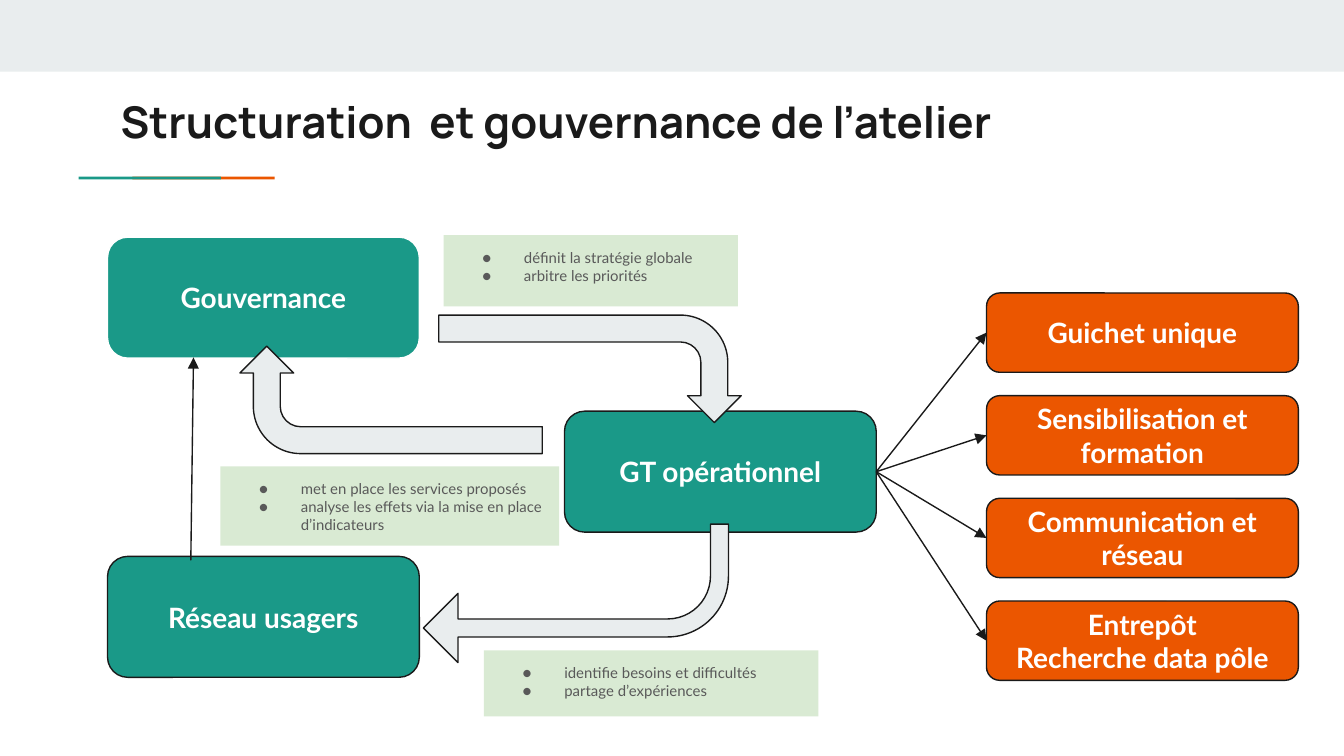
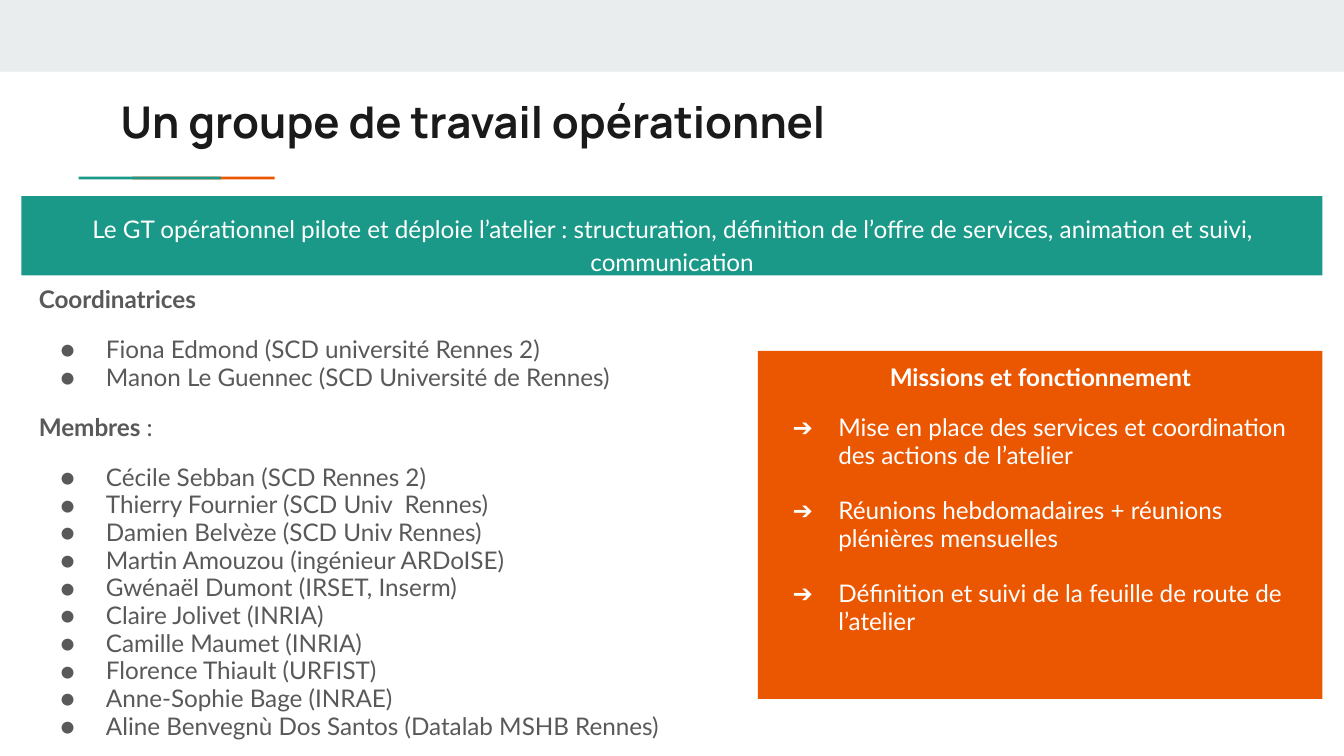
"""Build two slides on the structure and working group of a data workshop."""
from lxml.etree import SubElement
from pptx import Presentation
from pptx.dml.color import RGBColor as Rgb
from pptx.enum.shapes import MSO_CONNECTOR as Connector, MSO_SHAPE as Preset
from pptx.enum.text import MSO_ANCHOR as Anchor, PP_ALIGN as Align
from pptx.oxml.ns import qn
from pptx.util import Inches, Pt

WIDTH = Inches(10)
HEIGHT = WIDTH * 9 // 16
COLUMNS = 100
CELL = WIDTH / COLUMNS
COLORS = {
    "white": "FFFFFF",
    "ink": "1A1A1A",
    "grey": "595959",
    "mist": "E9EDEE",
    "teal": "1A9988",
    "orange": "EB5600",
    "mint": "D9EAD3",
}


def cells(*counts):
    return [round(count * CELL) for count in counts]


def color(name):
    return Rgb.from_string(COLORS[name])


def add_bullet(para, mark, ink, font, hanging):
    props = para._p.get_or_add_pPr()
    props.set("marL", str(Inches(0.5)))
    props.set("indent", str(-Inches(hanging)))
    tint = SubElement(props, qn("a:buClr"))
    SubElement(tint, qn("a:srgbClr")).set("val", COLORS[ink])
    SubElement(props, qn("a:buFont")).set("typeface", font)
    SubElement(props, qn("a:buChar")).set("char", mark)


def write(frame, text, size=13, ink="grey", font="Lato", bold=False, align=Align.LEFT,
          spacing=None, before=0, bullet=None, hanging=0.34, plain_end=""):
    para = frame.paragraphs[0]
    if para.runs:
        para = frame.add_paragraph()
    para.alignment = align
    para.space_before = Pt(before)
    if spacing:
        para.line_spacing = spacing
    if bullet:
        add_bullet(para, bullet, ink, font, hanging)
    for content, weight in ((text, bold), (plain_end, False)):
        if content:
            span = para.add_run()
            span.text = content
            span.font.name = font
            span.font.size = Pt(size)
            span.font.bold = weight
            span.font.color.rgb = color(ink)


class Board:
    """Hold the deck style and the slide being filled."""

    def __init__(self, deck):
        self.deck = deck
        self.page = None

    def start(self, title):
        self.page = self.deck.slides.add_slide(self.deck.slide_layouts[6])
        self.shape((0, 0, COLUMNS, 5.33), "mist")
        for center, fill in ((15.15, "orange"), (11.15, "teal")):
            self.shape((center - 5.3, 13.15, 10.6, 0.2), fill)
        write(self.text((8, 6.05, 84.1, 5.9)), title, size=23.4, ink="ink",
              font="Manrope", bold=True)

    def prepare(self, frame, anchor=Anchor.TOP):
        frame.word_wrap = True
        frame.vertical_anchor = anchor
        frame.margin_left = frame.margin_right = Inches(0.1)
        frame.margin_top = frame.margin_bottom = Inches(0.1)
        return frame

    def text(self, place):
        box = self.page.shapes.add_textbox(*cells(*place))
        return self.prepare(box.text_frame)

    def shape(self, place, fill, preset=Preset.RECTANGLE, line=None, anchor=Anchor.TOP):
        box = self.page.shapes.add_shape(preset, *cells(*place))
        box.shadow.inherit = False
        box.fill.solid()
        box.fill.fore_color.rgb = color(fill)
        if line:
            box.line.color.rgb = color(line)
            box.line.width = Pt(0.75)
        else:
            box.line.fill.background()
        self.prepare(box.text_frame, anchor)
        return box

    def card(self, place, fill, *lines, line="ink"):
        box = self.shape(place, fill, Preset.ROUNDED_RECTANGLE, line, Anchor.MIDDLE)
        for text in lines:
            write(box.text_frame, text, size=15, ink="white", bold=True, align=Align.CENTER)

    def note(self, place, *lines):
        frame = self.shape(place, "mint").text_frame
        for text in lines:
            write(frame, text, size=8, bullet="●", hanging=0.31)

    def bent_arrow(self, place, turn, thickness=0.25):
        arrow = self.shape(place, "mist", Preset.BENT_ARROW, "ink")
        arrow.rotation = turn
        for index, value in enumerate((thickness, 0.25, 0.25, 0.44)):
            arrow.adjustments[index] = value

    def arrow(self, start, end):
        link = self.page.shapes.add_connector(Connector.STRAIGHT, *cells(*start, *end))
        link.line.color.rgb = color("ink")
        link.line.width = Pt(0.75)
        SubElement(link.line._get_or_add_ln(), qn("a:tailEnd")).set("type", "triangle")
        SubElement(link._element.spPr, qn("a:effectLst"))


def build_governance(board):
    board.start("Structuration  et gouvernance de l’atelier")
    card_width, card_height = 23.2, 9
    board.card((8, 17.65, card_width, card_height), "teal", "Gouvernance", line="white")
    board.card((42, 30.6, card_width, card_height), "teal", "GT opérationnel")
    board.card((8, 41.4, card_width, card_height), "teal", "Réseau usagers")

    services = (
        ("Guichet unique",),
        ("Sensibilisation et formation",),
        ("Communication et réseau",),
        ("Entrepôt", "Recherche data pôle"),
    )
    left, top, height, pitch = 73.4, 21.8, 5.9, 7.64
    hub = (42 + card_width, 30.6 + card_height / 2)
    for index, lines in enumerate(services):
        y = top + index * pitch
        board.card((left, y, card_width, height), "orange", *lines)
        board.arrow(hub, (left, y + height / 2))
    board.arrow((14.2, 41.7), (14.4, 26.6))

    board.bent_arrow((39.9, 16.2, 8, 22.5), 90)
    board.bent_arrow((25.1, 18.5, 8, 22.5), 270)
    board.bent_arrow((31.5, 39, 22.7, 10.3), 180, thickness=0.13)

    board.note((33, 17.5, 21.9, 5.3), "définit la stratégie globale", "arbitre les priorités")
    board.note((16.4, 34.7, 25.2, 5.9), "met en place les services proposés",
               "analyse les effets via la mise en place d’indicateurs")
    board.note((36, 48.4, 24.9, 4.9), "identifie besoins et difficultés",
               "partage d’expériences")


def build_working_group(board):
    board.start("Un groupe de travail opérationnel")
    groups = (
        ("Coordinatrices", "", (
            "Fiona Edmond (SCD université Rennes 2)",
            "Manon Le Guennec (SCD Université de Rennes)",
        )),
        ("Membres", " :", (
            "Cécile Sebban (SCD Rennes 2)",
            "Thierry Fournier (SCD Univ  Rennes)",
            "Damien Belvèze (SCD Univ Rennes)",
            "Martin Amouzou (ingénieur ARDoISE)",
            "Gwénaël Dumont (IRSET, Inserm)",
            "Claire Jolivet (INRIA)",
            "Camille Maumet (INRIA)",
            "Florence Thiault (URFIST)",
            "Anne-Sophie Bage (INRAE)",
            "Aline Benvegnù Dos Santos (Datalab MSHB Rennes)",
        )),
    )
    people = board.text((1.9, 20.3, 55.9, 38.7))
    for number, (heading, ending, names) in enumerate(groups):
        write(people, heading, bold=True, plain_end=ending, spacing=0.95,
              before=12 if number else 0)
        for index, name in enumerate(names):
            write(people, name, bullet="●", spacing=0.95, before=0 if index else 12)

    missions = board.shape((56.4, 26.1, 42, 25.9), "orange").text_frame
    write(missions, "Missions et fonctionnement", ink="white", bold=True,
          align=Align.CENTER, spacing=0.95)
    tasks = (
        "Mise en place des services et coordination des actions de l’atelier",
        "Réunions hebdomadaires + réunions plénières mensuelles",
        "Définition et suivi de la feuille de route de l’atelier",
    )
    for index, task in enumerate(tasks):
        write(missions, task, ink="white", bullet="➔", spacing=0.95,
              before=14.8 if index else 12)

    banner = board.shape((1.6, 14.6, 96.8, 5.9), "teal").text_frame
    write(banner, "Le GT opérationnel pilote et déploie l’atelier : structuration, définition "
          "de l’offre de services, animation et suivi, communication",
          ink="white", align=Align.CENTER, spacing=1.15)


def main():
    deck = Presentation()
    deck.slide_width, deck.slide_height = WIDTH, HEIGHT
    board = Board(deck)
    build_governance(board)
    build_working_group(board)
    deck.save("out.pptx")


if __name__ == "__main__":
    main()
